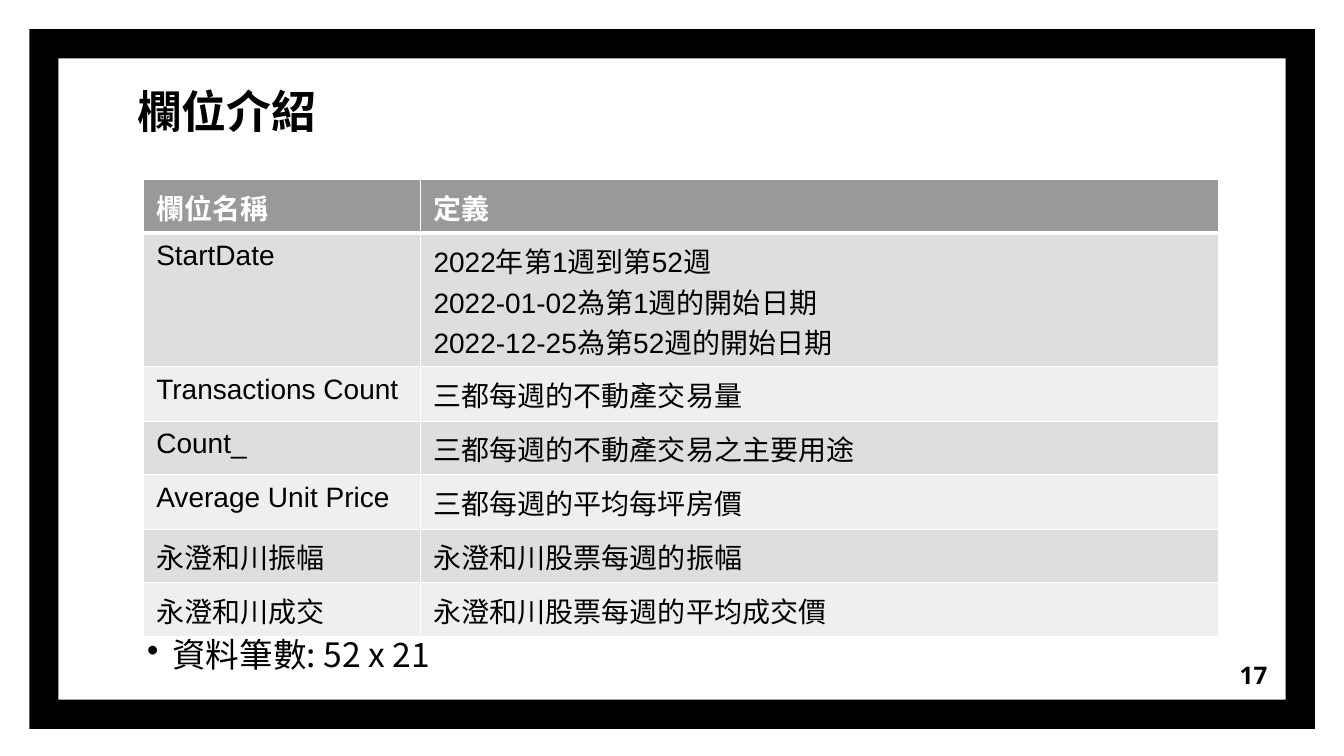
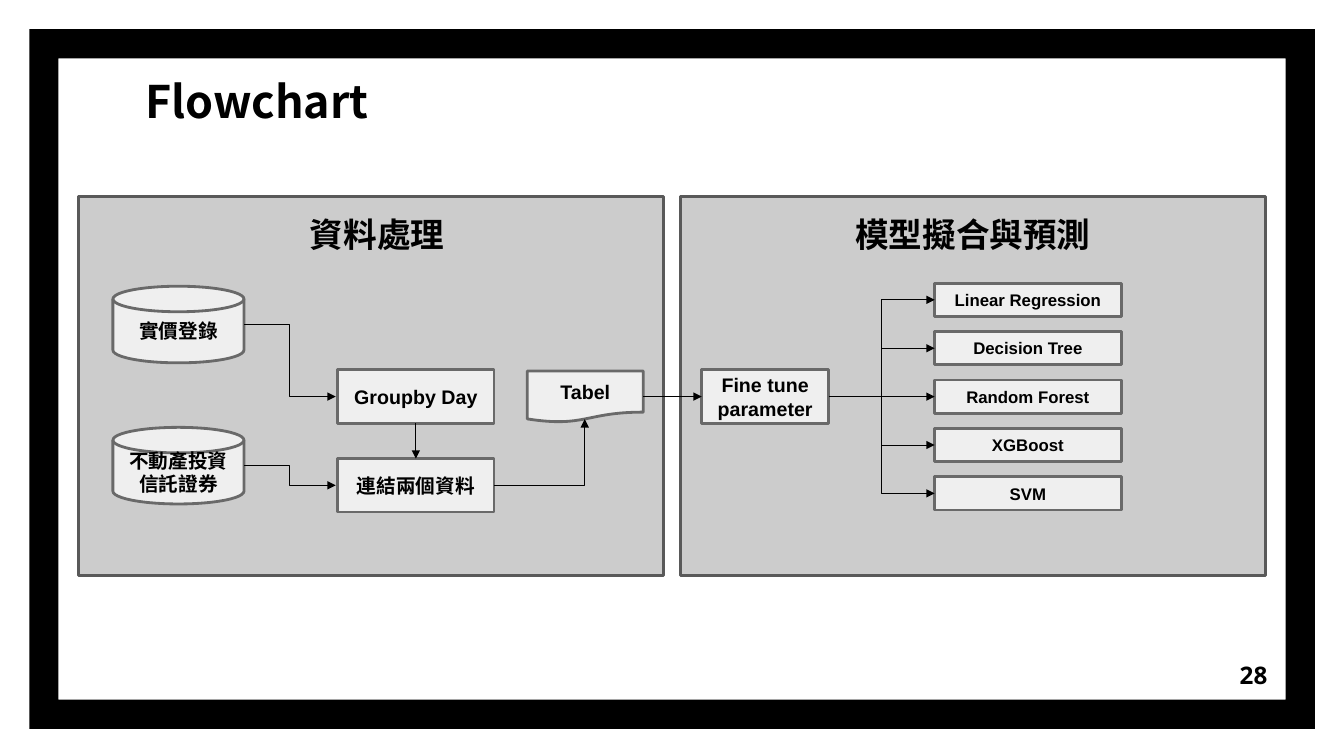
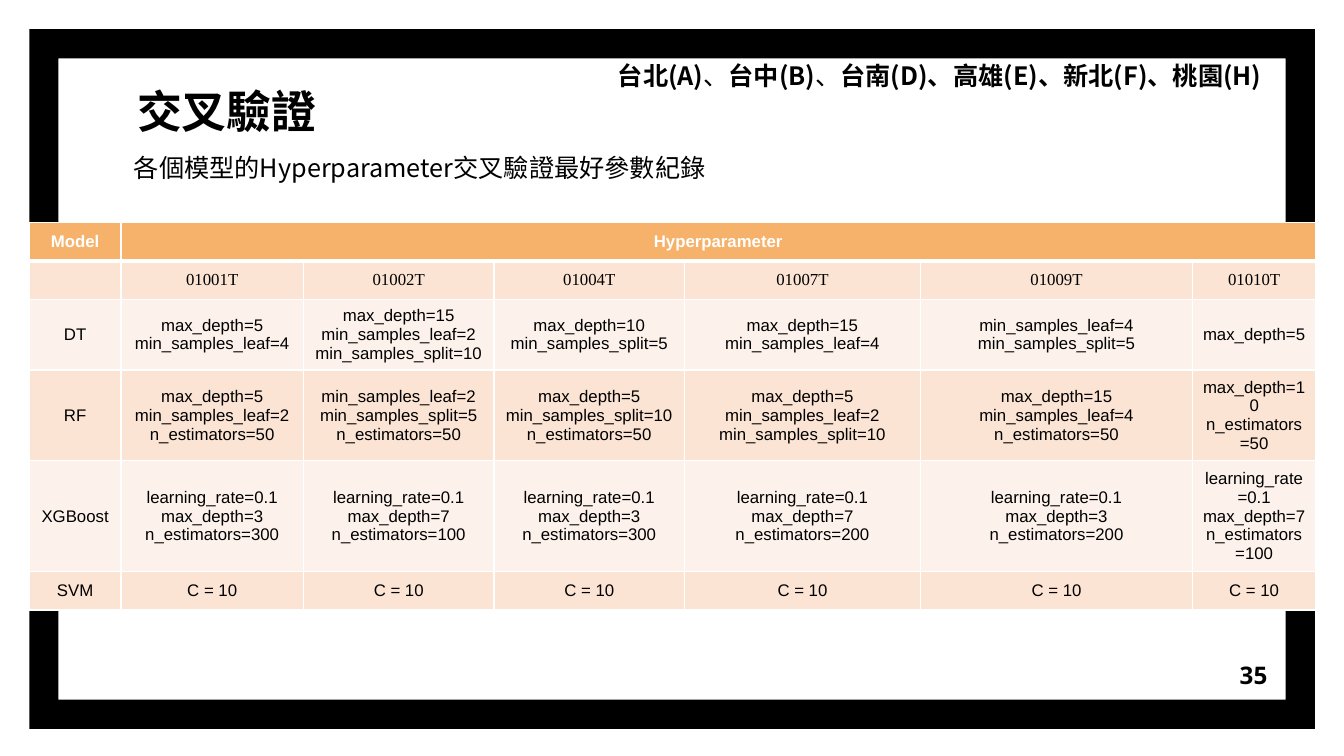
from lxml.etree import SubElement
from pptx import Presentation
from pptx.dml.color import RGBColor
from pptx.enum.shapes import MSO_CONNECTOR as Link, MSO_SHAPE as Shape
from pptx.enum.text import MSO_ANCHOR as Anchor, PP_ALIGN as Align
from pptx.oxml.ns import qn
from pptx.util import Inches, Pt

COLORS = {
    "black": "000000", "white": "FFFFFF",
    "panel": "CCCCCC", "panel_line": "595959", "node": "EFEFEF", "node_line": "696969",
    "gray_head": "999999", "gray_dark": "DEDEDE", "gray_light": "EFEFEF",
    "orange_head": "F6B26B", "orange_dark": "FBE4D4", "orange_light": "FDF2EB",
}
TC, SC = "Noto Sans CJK TC", "Noto Sans CJK SC"
TOP, LEFT, BOTTOM, RIGHT = range(4)
CENTER = {"alignment": Align.CENTER}
SMALL_INSETS = (0.1, 0.05)
TABLE_INSETS = (0.13, 0.07)
WIDE_INSETS = (0.13, 0.13)


def rgb(name):
    return RGBColor.from_string(COLORS[name])


def style(size, latin="Arial", asian=None, bold=False, color="black"):
    return {"size": Pt(size), "name": latin, "asian": asian or latin,
            "bold": bold, "color": color}


def apply(target, values):
    for name, value in values.items():
        setattr(target, name, value)


def inset_values(insets):
    across, down = map(Inches, insets)
    return {"margin_left": across, "margin_right": across,
            "margin_top": down, "margin_bottom": down}


# Text
def add_span(para, text, look):
    span = para.add_run()
    span.text = text
    apply(span.font, {key: look[key] for key in ("size", "name", "bold")})
    span.font.color.rgb = rgb(look["color"])
    SubElement(span.font._element, qn("a:ea"), typeface=look["asian"])


def write(frame, lines, look, layout=None):
    """Each line is a string or a list of (text, bold) spans."""
    for index, line in enumerate(lines):
        para = frame.add_paragraph() if index else frame.paragraphs[0]
        apply(para, layout or {})
        spans = [(line, look["bold"])] if isinstance(line, str) else line
        for text, bold in spans:
            add_span(para, text, {**look, "bold": bold})


def add_text(page, at, lines, look, layout=None, insets=SMALL_INSETS, anchor=Anchor.TOP):
    box = page.shapes.add_textbox(*map(Inches, at))
    apply(box.text_frame, {"word_wrap": True, "vertical_anchor": anchor,
                           **inset_values(insets)})
    write(box.text_frame, lines, look, layout)
    return box


def add_bullet(para, indent):
    props = para._p.get_or_add_pPr()
    props.set("marL", str(Inches(indent)))
    props.set("indent", str(-Inches(indent)))
    SubElement(props, qn("a:buChar"), char="•")


# Shapes and connectors
def add_box(page, kind, at, fill, line=None):
    box = page.shapes.add_shape(kind, *map(Inches, at))
    box.shadow.inherit = False
    box.fill.solid()
    box.fill.fore_color.rgb = rgb(fill)
    if line:
        box.line.color.rgb = rgb(line)
        box.line.width = Pt(2)
    else:
        box.line.fill.background()
    return box


def add_node(page, kind, at, text, size=14):
    node = add_box(page, kind, at, "node", "node_line")
    apply(node.text_frame, {"word_wrap": True, "vertical_anchor": Anchor.MIDDLE,
                            **inset_values(SMALL_INSETS)})
    write(node.text_frame, [text], style(size, bold=True), CENTER)
    return node


def side(box, place):
    middle_x, middle_y = box.left + box.width // 2, box.top + box.height // 2
    return {TOP: (middle_x, box.top), LEFT: (box.left, middle_y),
            BOTTOM: (middle_x, box.top + box.height),
            RIGHT: (box.left + box.width, middle_y)}[place]


def add_arrow(page, start, end, kind=Link.STRAIGHT, preset=None):
    arrow = page.shapes.add_connector(kind, *start, *end)
    arrow.line.color.rgb = rgb("black")
    arrow.line.width = Pt(0.75)
    SubElement(arrow.line._get_or_add_ln(), qn("a:tailEnd"), type="triangle")
    props = arrow._element.spPr
    SubElement(props, qn("a:effectLst"))
    if preset:
        props.find(qn("a:prstGeom")).set("prst", preset)
    return arrow


def join(page, first, first_side, second, second_side):
    arrow = add_arrow(page, side(first, first_side), side(second, second_side))
    arrow.begin_connect(first, first_side)
    arrow.end_connect(second, second_side)


# Tables
def border_cell(cell, bottom):
    props = cell._tc.get_or_add_tcPr()
    for index, (tag, width) in enumerate((("lnL", 1), ("lnR", 1), ("lnT", 1), ("lnB", bottom))):
        line = props.makeelement(qn("a:" + tag), {"w": str(Pt(width))})
        SubElement(SubElement(line, qn("a:solidFill")), qn("a:srgbClr"), val=COLORS["white"])
        props.insert(index, line)


def add_grid(page, at, widths, heights, rows, theme, look, row_looks=None,
             layout=None, insets=SMALL_INSETS, anchor=Anchor.TOP):
    table = page.shapes.add_table(len(rows), len(widths), *map(Inches, at)).table
    for column, width in zip(table.columns, widths):
        column.width = Inches(width)
    for number, (row, height, values) in enumerate(zip(table.rows, heights, rows)):
        row.height = Inches(height)
        fill = theme + ("_head" if number == 0 else "_dark" if number % 2 else "_light")
        cell_look = (row_looks or {}).get(number, look)
        if number == 0:
            cell_look = {**look, "bold": True, "color": "white"}
        for cell, value in zip(row.cells, values):
            apply(cell, {"vertical_anchor": anchor, **inset_values(insets)})
            cell.fill.solid()
            cell.fill.fore_color.rgb = rgb(fill)
            border_cell(cell, 1 if number else 3)
            if value:
                write(cell.text_frame, value.split("\n"), cell_look, layout)
            else:
                SubElement(cell.text_frame.paragraphs[0]._p, qn("a:endParaRPr"),
                           sz=str(int(look["size"].pt * 100)))
    return table


# Parts shared by every page
def add_page(deck, title, number, title_at=(1.23, 0.7), title_font=SC):
    page = deck.slides.add_slide(deck.slide_layouts[6])
    frame = add_box(page, Shape.FRAME, (0.29, 0.29, 12.75, 6.94), "black")
    frame.adjustments[0] = 0.29 / 6.94
    add_text(page, (*title_at, 10.88, 0.76), [title],
             style(32, title_font, bold=True), insets=WIDE_INSETS)
    add_text(page, (11.9, 6.41, 0.8, 0.57), [str(number)],
             style(17.3, "Noto Sans", bold=True), {"alignment": Align.RIGHT},
             WIDE_INSETS, Anchor.MIDDLE)
    return page


def build_fields(deck):
    page = add_page(deck, "欄位介紹", 17, title_font=TC)
    rows = [
        ("欄位名稱", "定義"),
        ("StartDate", "2022年第1週到第52週\n2022-01-02為第1週的開始日期\n"
                      "2022-12-25為第52週的開始日期"),
        ("Transactions Count", "三都每週的不動產交易量"),
        ("Count_", "三都每週的不動產交易之主要用途"),
        ("Average Unit Price", "三都每週的平均每坪房價"),
        ("永澄和川振幅", "永澄和川股票每週的振幅"),
        ("永澄和川成交", "永澄和川股票每週的平均成交價"),
    ]
    add_grid(page, (1.42, 1.78, 10.67, 4.54), (2.75, 7.92),
             (0.53, 1.33, 0.54, 0.53, 0.54, 0.53, 0.54), rows, "gray",
             style(20, asian=TC), insets=TABLE_INSETS)
    size_note = add_text(page, (1.33, 6.26, 10.67, 0.87), ["資料筆數: 52 x 21"],
                         style(24, SC), {"line_spacing": 0.9}, TABLE_INSETS)
    add_bullet(size_note.text_frame.paragraphs[0], 0.25)


def build_flowchart(deck):
    page = add_page(deck, "Flowchart", 28, title_at=(1.31, 0.6))

    # Panels and headings
    for left, heading_left, width, heading in ((0.78, 2.62, 2.24, "資料處理"),
                                               (6.75, 8.3, 2.7, "模型擬合與預測")):
        add_box(page, Shape.RECTANGLE, (left, 1.95, 5.8, 3.76), "panel", "panel_line")
        add_text(page, (heading_left, 2.07, width, 0.5), [heading],
                 style(24, bold=True), CENTER)

    # Data preparation
    prices, trusts = [
        add_node(page, Shape.FLOWCHART_MAGNETIC_DISK, (1.12, top, 1.3, 0.76), text)
        for top, text in ((2.84, "實價登錄"), (4.24, "不動產投資信託證券"))]
    group, merge = [
        add_node(page, Shape.FLOWCHART_PROCESS, (3.35, top, 1.55, 0.53), text)
        for top, text in ((3.67, "Groupby Day"), (4.55, "連結兩個資料"))]
    result = add_node(page, Shape.FLOWCHART_DOCUMENT, (5.23, 3.68, 1.15, 0.51), "Tabel")
    tune = add_node(page, Shape.FLOWCHART_PROCESS, (6.96, 3.67, 1.26, 0.53),
                    "Fine tune parameter")
    for source, step in ((prices, group), (trusts, merge)):
        add_arrow(page, side(source, RIGHT), (Inches(3.33), side(step, LEFT)[1]), Link.ELBOW)
    join(page, group, BOTTOM, merge, TOP)
    add_arrow(page, side(merge, RIGHT), (Inches(5.8), Inches(4.16)),
              Link.ELBOW, "bentConnector2")
    join(page, result, RIGHT, tune, LEFT)

    # Models branching from one trunk
    names = ("Linear Regression", "Decision Tree", "Random Forest", "XGBoost", "SVM")
    for index, name in enumerate(names):
        model = add_node(page, Shape.RECTANGLE, (9.27, 2.81 + 0.48 * index, 1.85, 0.33),
                         name, 12)
        target = side(model, LEFT)
        if index in (0, len(names) - 1):
            add_arrow(page, side(tune, RIGHT), target, Link.ELBOW)
        else:
            branch = add_arrow(page, (Inches(8.75), target[1]), target)
            branch.end_connect(model, LEFT)


def build_validation(deck):
    page = add_page(deck, "交叉驗證", 35)
    add_text(page, (1.23, 1.46, 6.52, 0.4),
             ["各個模型的Hyperparameter交叉驗證最好參數紀錄"], style(18, TC))
    cities = [("台北(A)", True), ("、", False), ("台中(B)", True), ("、", False),
              ("台南(D)、高雄(E)、新北(F)、桃園(H)", True)]
    add_text(page, (6.03, 0.55, 6.66, 0.4), [cities], style(18, SC))

    # Best parameters for each model and security
    boosts = ((3, 300), (7, 100), (3, 300), (7, 200), (3, 200), (7, 100))
    rows = [
        ("Model", "Hyperparameter", "", "", "", "", ""),
        ("", "01001T", "01002T", "01004T", "01007T", "01009T", "01010T"),
        ("DT", "max_depth=5\nmin_samples_leaf=4",
         "max_depth=15\nmin_samples_leaf=2\nmin_samples_split=10",
         "max_depth=10\nmin_samples_split=5", "max_depth=15\nmin_samples_leaf=4",
         "min_samples_leaf=4\nmin_samples_split=5", "max_depth=5"),
        ("RF", "max_depth=5\nmin_samples_leaf=2\nn_estimators=50",
         "min_samples_leaf=2\nmin_samples_split=5\nn_estimators=50",
         "max_depth=5\nmin_samples_split=10\nn_estimators=50",
         "max_depth=5\nmin_samples_leaf=2\nmin_samples_split=10",
         "max_depth=15\nmin_samples_leaf=4\nn_estimators=50",
         "max_depth=10\nn_estimators=50"),
        ("XGBoost", *(f"learning_rate=0.1\nmax_depth={depth}\nn_estimators={count}"
                      for depth, count in boosts)),
        ("SVM", *["C = 10"] * 6),
    ]
    table = add_grid(page, (0.29, 2.21, 12.76, 3.84),
                     (0.91, 1.81, 1.89, 1.89, 2.34, 2.7, 1.22),
                     (0.38, 0.38, 0.46, 0.64, 0.64, 0.38), rows, "orange", style(12),
                     {1: style(12, "Times New Roman")}, CENTER, anchor=Anchor.MIDDLE)
    table.cell(0, 1).merge(table.cell(0, 6))


def main():
    deck = Presentation()
    deck.slide_width, deck.slide_height = Inches(13.33), Inches(7.5)
    build_fields(deck)
    build_flowchart(deck)
    build_validation(deck)
    deck.save("out.pptx")


if __name__ == "__main__":
    main()
